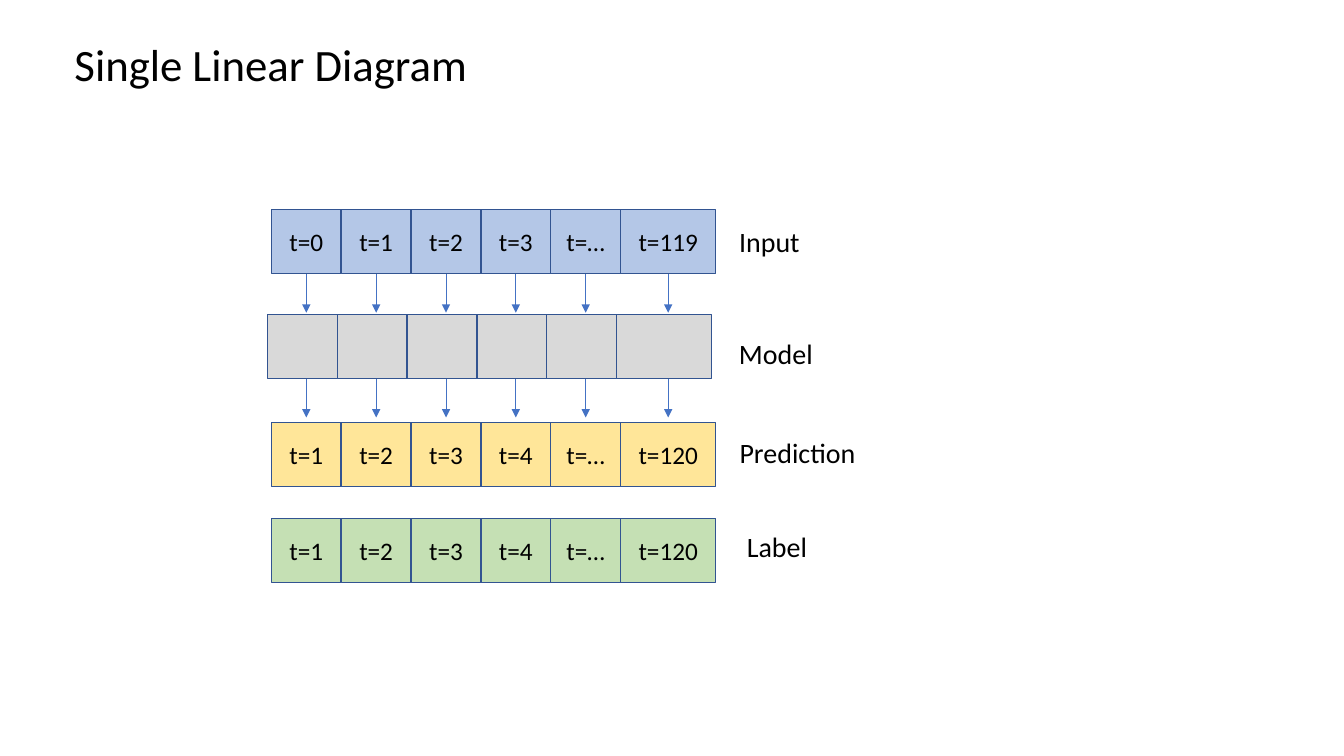
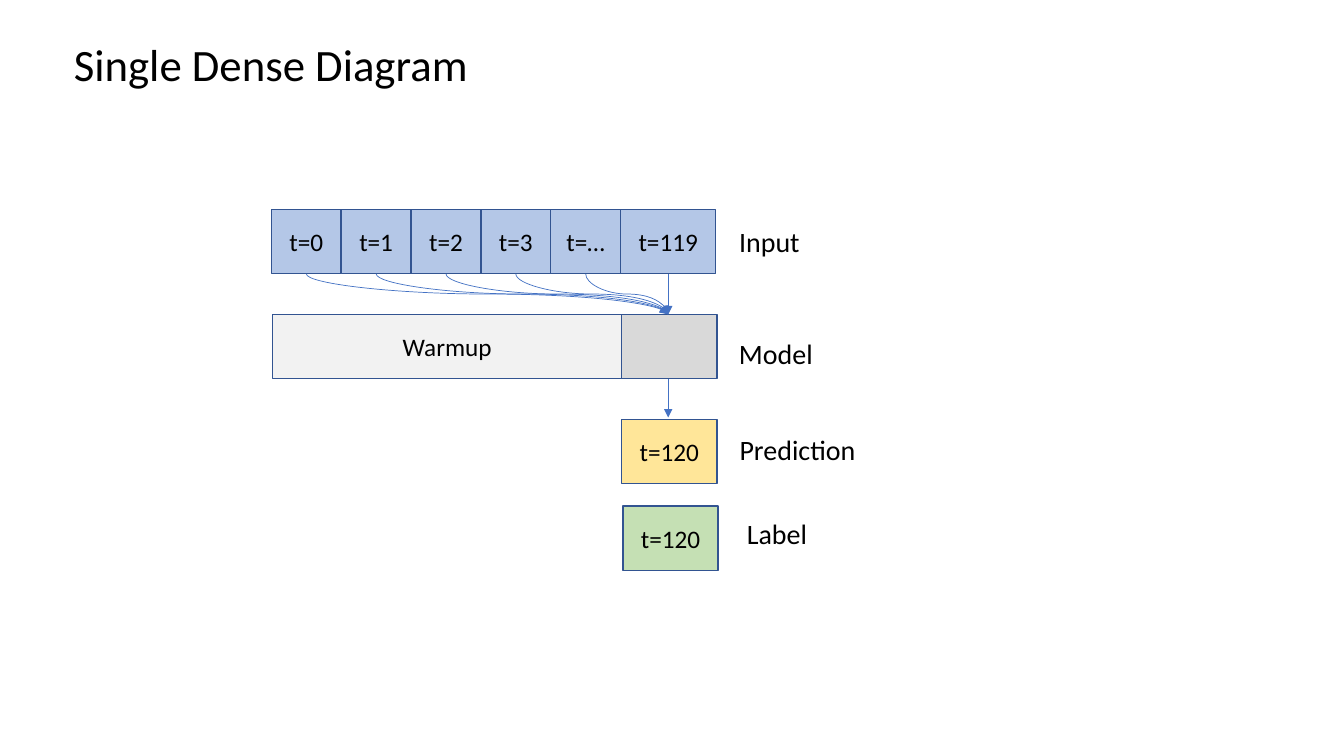
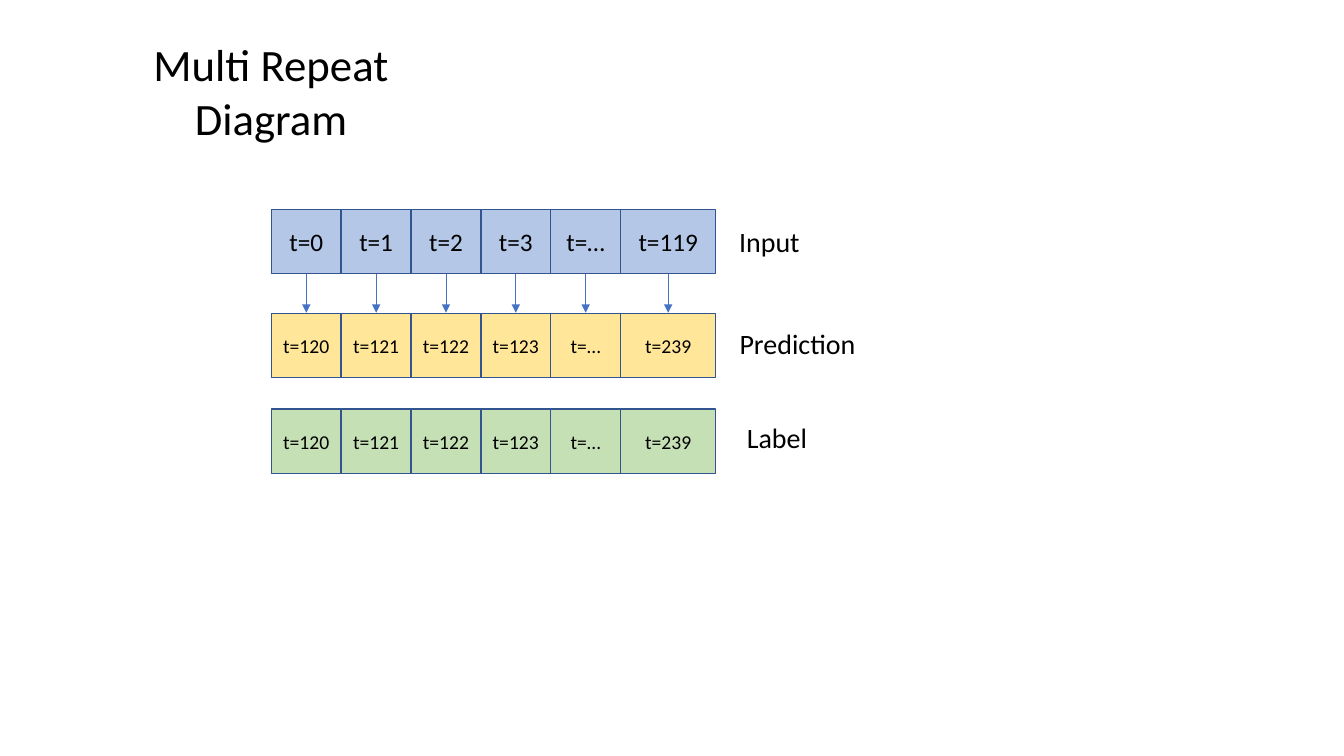
from dataclasses import dataclass

from lxml.etree import SubElement
from pptx import Presentation
from pptx.dml.color import RGBColor
from pptx.enum.shapes import MSO_CONNECTOR, MSO_SHAPE
from pptx.enum.text import MSO_ANCHOR, MSO_AUTO_SIZE, PP_ALIGN
from pptx.oxml.ns import qn
from pptx.util import Cm, Pt


@dataclass(frozen=True)
class Theme:
    """Colours, font and type sizes shared by the slides."""
    font: str = "Calibri"
    text: str = "000000"
    outline: str = "325491"
    arrow: str = "4472C4"
    input: str = "B4C7E7"
    model: str = "D9D9D9"
    warmup: str = "F2F2F2"
    prediction: str = "FFE699"
    label: str = "C5E0B4"
    title_size: int = 32
    caption_size: int = 20
    cell_size: int = 18
    small_size: int = 14


@dataclass(frozen=True)
class Box:
    """A rectangle on the slide."""
    left: int
    top: int
    width: int
    height: int

    @property
    def bottom(self):
        """Return the lower edge."""
        return self.top + self.height

    @property
    def right(self):
        """Return the right edge."""
        return self.left + self.width


THEME = Theme()
TITLE = Box(Cm(1.57), Cm(0.81), Cm(10.52), Cm(1.63))
GRID_LEFT = Cm(6.84)
STEP = Cm(1.76)
LAST_WIDTH = Cm(2.4)
ROW_HEIGHT = Cm(1.62)
COLUMNS = 6
WARMUP_COLUMNS = COLUMNS - 1
ARROW_DROP = Cm(0.98)
CURVE_DROP = Cm(1.02)
INPUT_TOP = Cm(5.28)
MODEL_TOP = Cm(7.92)
CAPTION_HEIGHT = Cm(1.12)
CAPTIONS = {
    "Input": (Cm(18.36), Cm(0.26), Cm(2.06)),
    "Model": (Cm(18.36), Cm(0.44), Cm(2.39)),
    "Prediction": (Cm(18.36), Cm(0.21), Cm(3.48)),
    "Label": (Cm(18.55), Cm(0.15), Cm(2.06)),
}
INPUT_STEPS = ["t=0", "t=1", "t=2", "t=3", "t=…", "t=119"]
NEXT_STEPS = ["t=1", "t=2", "t=3", "t=4", "t=…", "t=120"]
REPEAT_STEPS = ["t=120", "t=121", "t=122", "t=123", "t=…", "t=239"]


def row_box(top, shift=0):
    """Return the box of a full row of time steps."""
    width = STEP * WARMUP_COLUMNS + LAST_WIDTH
    return Box(GRID_LEFT + shift, top, width, ROW_HEIGHT)


def cell_box(row, column):
    """Return the box of one time step in a row."""
    left = row.left + column * STEP
    width = LAST_WIDTH if column == COLUMNS - 1 else STEP
    return Box(left, row.top, width, row.height)


def write(shape, text, size):
    """Set centred text in the theme font."""
    para = shape.text_frame.paragraphs[0]
    para.text = text
    para.alignment = PP_ALIGN.CENTER
    for span in para.runs:
        span.font.name = THEME.font
        span.font.size = Pt(size)
        span.font.color.rgb = RGBColor.from_string(THEME.text)


def add_text(page, box, text, size):
    """Add an unwrapped text box."""
    shape = page.shapes.add_textbox(box.left, box.top, box.width, box.height)
    shape.text_frame.word_wrap = False
    shape.text_frame.auto_size = MSO_AUTO_SIZE.SHAPE_TO_FIT_TEXT
    write(shape, text, size)


def add_caption(page, row, text):
    """Name a row at its right side."""
    left, drop, width = CAPTIONS[text]
    box = Box(left, row.top + drop, width, CAPTION_HEIGHT)
    add_text(page, box, text, THEME.caption_size)


def add_cell(page, box, fill, text="", size=THEME.cell_size):
    """Add one outlined cell."""
    cell = page.shapes.add_shape(MSO_SHAPE.RECTANGLE, box.left, box.top, box.width, box.height)
    cell.shadow.inherit = False
    cell.fill.solid()
    cell.fill.fore_color.rgb = RGBColor.from_string(fill)
    cell.line.color.rgb = RGBColor.from_string(THEME.outline)
    cell.line.width = Pt(1)
    cell.text_frame.vertical_anchor = MSO_ANCHOR.MIDDLE
    if text:
        write(cell, text, size)


def add_row(page, row, caption, fill, texts, size=THEME.cell_size):
    """Add a captioned row of cells."""
    for column, text in enumerate(texts):
        add_cell(page, cell_box(row, column), fill, text, size)
    add_caption(page, row, caption)


def add_last_cell(page, row, caption, fill, text):
    """Add a captioned row that holds only its last cell."""
    add_cell(page, cell_box(row, COLUMNS - 1), fill, text)
    add_caption(page, row, caption)


def add_arrow(page, kind, begin, end):
    """Add a thin connector with an arrowhead at its end."""
    arrow = page.shapes.add_connector(kind, *begin, *end)
    arrow.line.color.rgb = RGBColor.from_string(THEME.arrow)
    arrow.line.width = Pt(0.5)
    SubElement(arrow.line._get_or_add_ln(), qn("a:tailEnd"), type="triangle")
    SubElement(arrow._element.spPr, qn("a:effectLst"))
    return arrow


def column_center(row, column):
    """Return the horizontal middle of a column."""
    box = cell_box(row, column)
    return box.left + box.width // 2


def add_down_arrows(page, row, columns=range(COLUMNS), drop=ARROW_DROP):
    """Point straight down from the chosen columns of a row."""
    for column in columns:
        center = column_center(row, column)
        add_arrow(page, MSO_CONNECTOR.STRAIGHT, (center, row.bottom), (center, row.bottom + drop))


def add_merging_curves(page, row):
    """Curve from the warmup columns down to the last column."""
    target = column_center(row, COLUMNS - 1)
    middle_y = row.bottom + CURVE_DROP // 2
    for column in range(WARMUP_COLUMNS):
        source = column_center(row, column)
        middle_x = (source + target) // 2
        half_run, half_drop = (target - source) // 2, CURVE_DROP // 2
        curve = add_arrow(
            page,
            MSO_CONNECTOR.CURVE,
            (middle_x + half_drop, middle_y - half_run),
            (middle_x - half_drop, middle_y + half_run),
        )
        curve._element.spPr.find(qn("a:xfrm")).set("rot", "16200000")


def add_page(deck, title):
    """Add a slide with its title and input row."""
    page = deck.slides.add_slide(deck.slide_layouts[6])
    add_text(page, TITLE, title, THEME.title_size)
    add_row(page, row_box(INPUT_TOP), "Input", THEME.input, INPUT_STEPS)
    return page


def build_linear(deck):
    """Build the diagram that predicts each next step."""
    page = add_page(deck, "Single Linear Diagram")
    add_row(page, row_box(MODEL_TOP, -Cm(0.1)), "Model", THEME.model, [""] * COLUMNS)
    add_row(page, row_box(Cm(10.64)), "Prediction", THEME.prediction, NEXT_STEPS)
    add_row(page, row_box(Cm(13.06)), "Label", THEME.label, NEXT_STEPS)
    for top in (INPUT_TOP, MODEL_TOP):
        add_down_arrows(page, row_box(top))


def build_dense(deck):
    """Build the diagram that merges all inputs into one step."""
    page = add_page(deck, "Single Dense Diagram")
    model = row_box(MODEL_TOP, Cm(0.03))
    warmup = Box(model.left, model.top, STEP * WARMUP_COLUMNS, model.height)
    add_cell(page, warmup, THEME.warmup, "Warmup")
    add_last_cell(page, model, "Model", THEME.model, "")
    add_last_cell(page, row_box(Cm(10.57), Cm(0.03)), "Prediction", THEME.prediction, "t=120")
    add_last_cell(page, row_box(Cm(12.75), Cm(0.06)), "Label", THEME.label, "t=120")
    last = [COLUMNS - 1]
    add_down_arrows(page, row_box(INPUT_TOP), last, CURVE_DROP)
    add_down_arrows(page, row_box(MODEL_TOP), last)
    add_merging_curves(page, row_box(INPUT_TOP))


def build_repeat(deck):
    """Build the diagram that repeats the inputs as predictions."""
    page = add_page(deck, "Multi Repeat Diagram")
    add_row(page, row_box(Cm(7.9)), "Prediction", THEME.prediction, REPEAT_STEPS, THEME.small_size)
    add_row(page, row_box(Cm(10.31)), "Label", THEME.label, REPEAT_STEPS, THEME.small_size)
    add_down_arrows(page, row_box(INPUT_TOP))


def main():
    """Build and save the deck."""
    deck = Presentation()
    deck.slide_width, deck.slide_height = Cm(33.87), Cm(19.05)
    for build in (build_linear, build_dense, build_repeat):
        build(deck)
    deck.save("out.pptx")


main()
